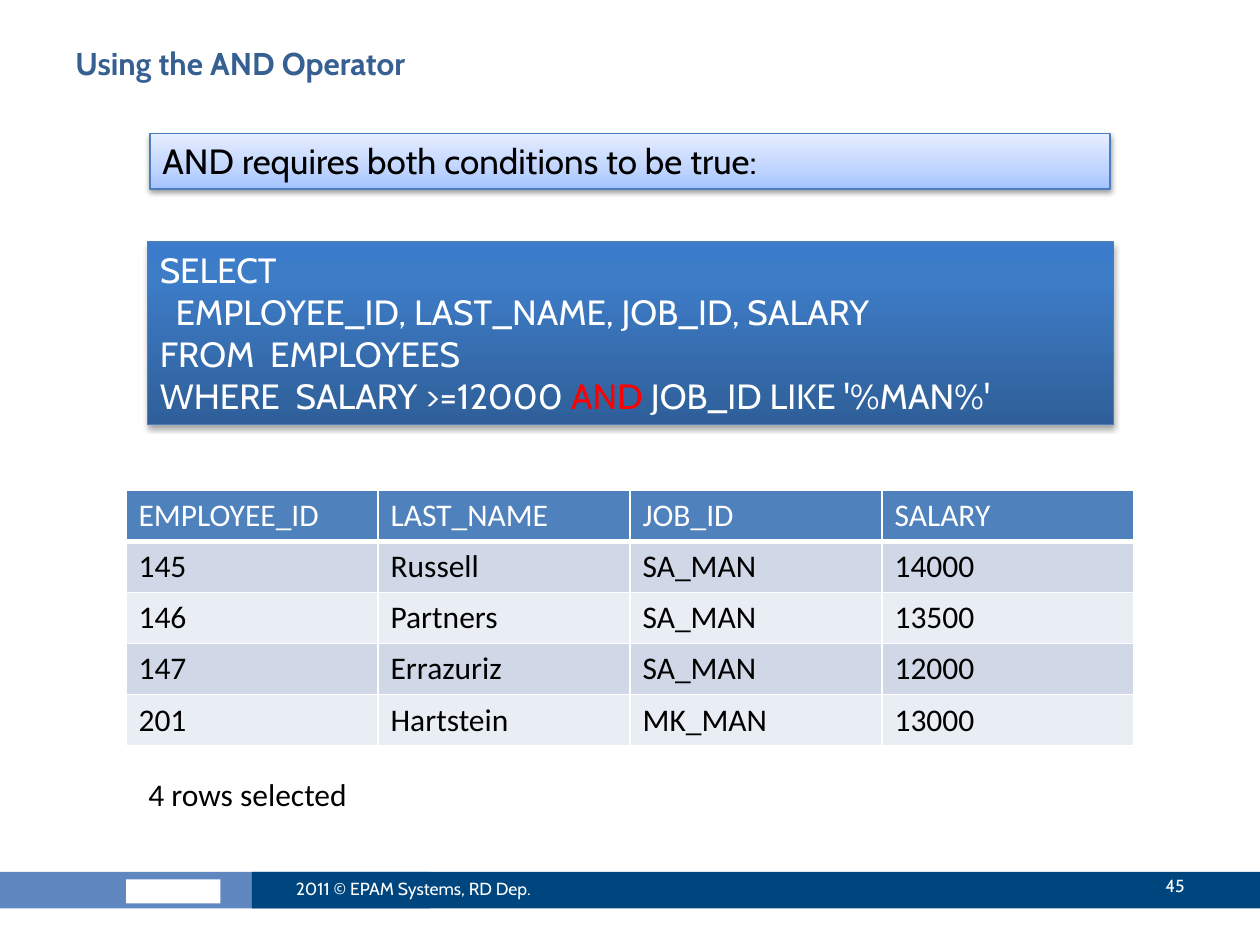
from lxml.etree import SubElement
from pptx import Presentation
from pptx.dml.color import RGBColor
from pptx.enum.shapes import MSO_SHAPE as SHAPE
from pptx.enum.text import MSO_ANCHOR as ANCHOR, MSO_AUTO_SIZE as AUTO, PP_ALIGN as ALIGN
from pptx.oxml import parse_xml
from pptx.oxml.ns import nsdecls, qn
from pptx.util import Inches, Pt

WHITE = RGBColor(0xFF, 0xFF, 0xFF)
BLACK = RGBColor(0, 0, 0)
RED = RGBColor(0xFF, 0, 0)
TITLE_BLUE = RGBColor(0x37, 0x60, 0x92)
OUTLINE_BLUE = RGBColor(0x4B, 0x7E, 0xBC)
FOOTER_LIGHT = RGBColor(0x60, 0x87, 0xBF)
FOOTER_DARK = RGBColor(0x00, 0x46, 0x7E)
HEADER_BLUE = RGBColor(0x4F, 0x81, 0xBD)
BANDS = [RGBColor(0xD0, 0xD8, 0xE8), RGBColor(0xE9, 0xED, 0xF4)]

# Each paragraph is a list of (text, colour) runs.
TITLE = [[("Using the AND Operator", TITLE_BLUE)]]
RULE = [[("AND requires both conditions to be true:", BLACK)]]
QUERY = [
    [("SELECT", WHITE)],
    [("  EMPLOYEE_ID, LAST_NAME, JOB_ID, SALARY", WHITE)],
    [("FROM  EMPLOYEES", WHITE)],
    [("WHERE  SALARY >=12000 ", WHITE), ("AND", RED), (" JOB_ID LIKE '%MAN%'", WHITE)],
]
ROW_COUNT = [[("4 rows selected", BLACK)]]
COPYRIGHT = [[("2011 © EPAM Systems, RD Dep.", WHITE)]]
PAGE_NUMBER = [[("45", WHITE)]]
EMPLOYEES = [
    ("EMPLOYEE_ID", "LAST_NAME", "JOB_ID", "SALARY"),
    ("145", "Russell", "SA_MAN", "14000"),
    ("146", "Partners", "SA_MAN", "13500"),
    ("147", "Errazuriz", "SA_MAN", "12000"),
    ("201", "Hartstein", "MK_MAN", "13000"),
]

# Gradient stops run from the bottom of the panel to its top.
QUERY_STOPS = [(0, "2F5F99"), (80, "3D7CC7"), (100, "3A7CCB")]
RULE_STOPS = [(0, "A4C4FF"), (35, "BFD4FF"), (100, "E6EEFF")]


def set_format(target, **values):
    for name, value in values.items():
        setattr(target, name, value)


def write(frame, paragraphs, size, font="Cabin", bold=False, align=ALIGN.LEFT):
    for i, runs in enumerate(paragraphs):
        paragraph = frame.paragraphs[0] if i == 0 else frame.add_paragraph()
        paragraph.alignment = align
        for text, color in runs:
            run = paragraph.add_run()
            run.text = text
            set_format(run.font, name=font, size=Pt(size), bold=bold)
            run.font.color.rgb = color


def add_text(slide, box, paragraphs, size, anchor=ANCHOR.TOP, wrap=True,
             auto_size=AUTO.NONE, **style):
    frame = slide.shapes.add_textbox(*map(Inches, box)).text_frame
    set_format(frame, word_wrap=wrap, vertical_anchor=anchor, auto_size=auto_size)
    write(frame, paragraphs, size, **style)


def add_block(slide, box, color):
    block = slide.shapes.add_shape(SHAPE.RECTANGLE, *map(Inches, box))
    block.shadow.inherit = False
    block.fill.solid()
    block.fill.fore_color.rgb = color
    block.line.fill.background()


def add_panel(slide, box, paragraphs, stops, shadow_alpha, shadow_distance):
    """Add an outlined text panel with a vertical gradient and a shadow below."""
    panel = slide.shapes.add_shape(SHAPE.RECTANGLE, *map(Inches, box))
    panel.shadow.inherit = False
    panel.line.color.rgb = OUTLINE_BLUE
    panel.line.width = Pt(0.75)
    properties = panel.element.spPr
    stop_xml = "".join(
        f'<a:gs pos="{position * 1000}"><a:srgbClr val="{color}"/></a:gs>'
        for position, color in stops)
    properties.find(qn("a:prstGeom")).addnext(parse_xml(
        f'<a:gradFill rotWithShape="1" {nsdecls("a")}><a:gsLst>{stop_xml}</a:gsLst>'
        '<a:lin ang="16200000" scaled="0"/></a:gradFill>'))
    properties.find(qn("a:effectLst")).append(parse_xml(
        f'<a:outerShdw {nsdecls("a")} blurRad="{Pt(3.1)}" dist="{Pt(shadow_distance)}" '
        'dir="5400000" rotWithShape="0"><a:srgbClr val="000000">'
        f'<a:alpha val="{shadow_alpha * 1000}"/></a:srgbClr></a:outerShdw>'))
    set_format(panel.text_frame, word_wrap=True, vertical_anchor=ANCHOR.TOP,
               auto_size=AUTO.SHAPE_TO_FIT_TEXT)
    write(panel.text_frame, paragraphs, 20)


def set_borders(cell, widths):
    properties = cell._tc.get_or_add_tcPr()
    for i, (side, width) in enumerate(widths.items()):
        line = properties.makeelement(qn(f"a:ln{side}"), {"w": str(Pt(width))})
        fill = SubElement(line, qn("a:solidFill"))
        SubElement(fill, qn("a:srgbClr"), val=str(WHITE))
        properties.insert(i, line)


def add_employees(slide, box):
    table = slide.shapes.add_table(
        len(EMPLOYEES), len(EMPLOYEES[0]), *map(Inches, box)).table
    for r, values in enumerate(EMPLOYEES):
        header = r == 0
        for c, value in enumerate(values):
            cell = table.cell(r, c)
            cell.fill.solid()
            cell.fill.fore_color.rgb = HEADER_BLUE if header else BANDS[(r - 1) % 2]
            set_borders(cell, {"L": 1, "R": 1, "T": 3 if r == 1 else 1,
                               "B": 3 if header else 1})
            write(cell.text_frame, [[(value, WHITE if header else BLACK)]], 18, "Calibri")


def main():
    deck = Presentation()
    set_format(deck, slide_width=Inches(10), slide_height=Inches(7.5))
    slide = deck.slides.add_slide(deck.slide_layouts[6])

    add_block(slide, (-0.02, 6.92, 3.43, 0.29), FOOTER_LIGHT)
    add_block(slide, (1, 6.98, 0.75, 0.19), WHITE)
    add_block(slide, (2, 6.92, 8, 0.29), FOOTER_DARK)
    add_text(slide, (0.5, 0.3, 9, 0.78), TITLE, 18, bold=True)
    add_employees(slide, (1, 3.89, 8, 2.03))
    add_text(slide, (2.25, 6.85, 2.67, 0.4), COPYRIGHT, 10, ANCHOR.MIDDLE)
    add_text(slide, (8.42, 6.83, 1.08, 0.4), PAGE_NUMBER, 10, ANCHOR.MIDDLE,
             align=ALIGN.RIGHT)
    add_panel(slide, (1.17, 1.92, 7.67, 1.45), QUERY, QUERY_STOPS, 35, 1.8)
    add_panel(slide, (1.19, 1.06, 7.62, 0.44), RULE, RULE_STOPS, 38, 1.6)
    add_text(slide, (1.08, 6.1, 1.96, 0.4), ROW_COUNT, 18, wrap=False,
             auto_size=AUTO.SHAPE_TO_FIT_TEXT, font="Calibri")
    deck.save("out.pptx")


if __name__ == "__main__":
    main()
